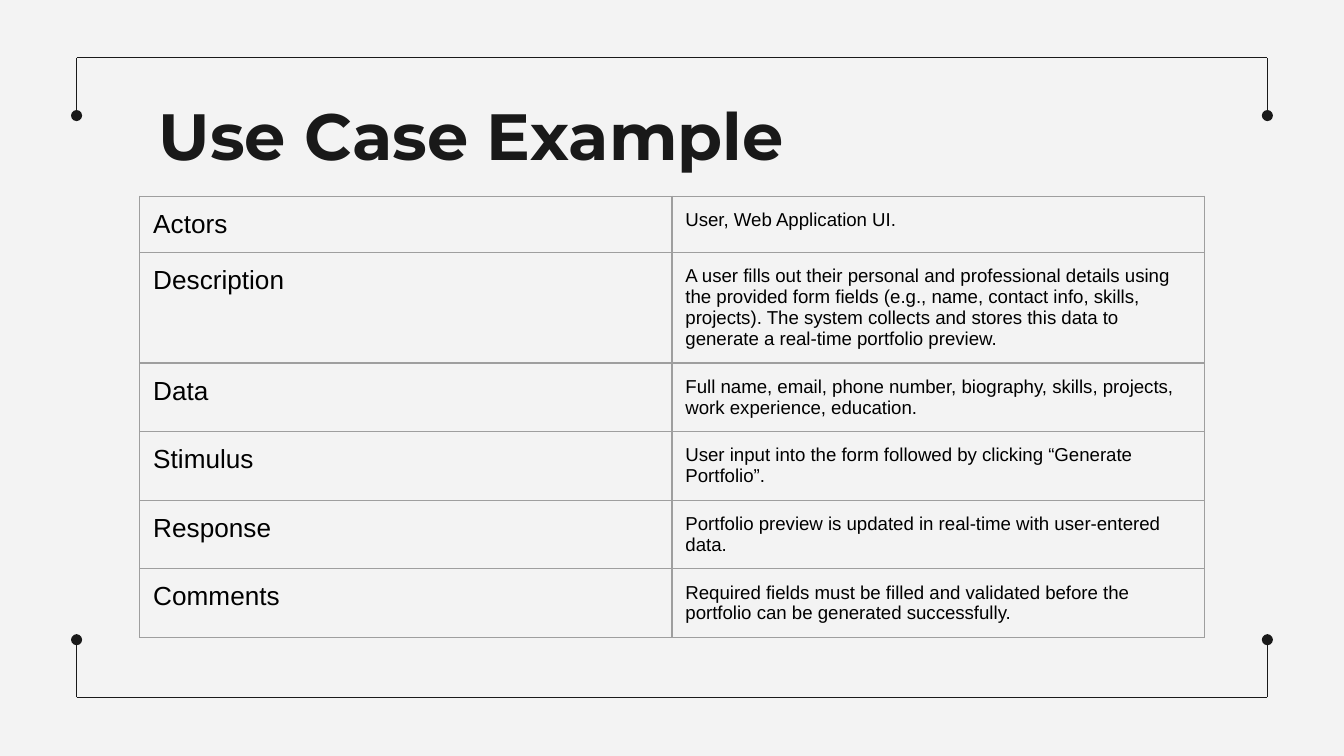
"""Build the use case example slide with its framed table."""
from lxml.etree import SubElement
from pptx import Presentation
from pptx.dml.color import RGBColor
from pptx.enum.shapes import MSO_CONNECTOR
from pptx.enum.text import MSO_ANCHOR, MSO_AUTO_SIZE, PP_ALIGN
from pptx.oxml.ns import qn
from pptx.util import Inches, Pt

TITLE = "Use Case Example"
USE_CASE = [
    ("Actors", "User, Web Application UI."),
    ("Description", "A user fills out their personal and professional details using the provided "
     "form fields (e.g., name, contact info, skills, projects). The system collects and stores "
     "this data to generate a real-time portfolio preview."),
    ("Data", "Full name, email, phone number, biography, skills, projects, work experience, "
     "education."),
    ("Stimulus", "User input into the form followed by clicking “Generate Portfolio”."),
    ("Response", "Portfolio preview is updated in real-time with user-entered data."),
    ("Comments", "Required fields must be filled and validated before the portfolio can be "
     "generated successfully."),
]
COLORS = {"background": "F3F3F3", "ink": "191919", "text": "000000", "border": "9E9E9E"}
COLUMN_SIZES = (14, 10)
COLUMN_WIDTH, ROW_HEIGHT = 3.96, 0.42
FRAME_LEFT, FRAME_RIGHT = 0.57, 9.43
FRAME_EDGES = [(0.43, 0.86), (5.19, 4.76)]


def color(name):
    return RGBColor.from_string(COLORS[name])


def add_text(paragraph, text, font_name, size, color_name, bold=False):
    run = paragraph.add_run()
    run.text = text
    run.font.name = font_name
    run.font.size = Pt(size)
    run.font.bold = bold
    run.font.color.rgb = color(color_name)


def set_margins(target):
    target.margin_left = target.margin_right = Inches(0.1)
    target.margin_top = target.margin_bottom = Inches(0.1)


def add_line(slide, start, end, dotted=False):
    connector = slide.shapes.add_connector(
        MSO_CONNECTOR.STRAIGHT, *(Inches(value) for value in start + end))
    connector.line.color.rgb = color("ink")
    connector.line.width = Pt(0.75)
    if dotted:
        SubElement(connector.get_or_add_ln(), qn("a:tailEnd"), type="oval")
    SubElement(connector.element.spPr, qn("a:effectLst"))


def add_frame(slide):
    for edge, tip in FRAME_EDGES:
        add_line(slide, (FRAME_LEFT, edge), (FRAME_RIGHT, edge))
        for side in (FRAME_LEFT, FRAME_RIGHT):
            add_line(slide, (side, edge), (side, tip), dotted=True)


def add_title(slide):
    title = slide.shapes.title
    title.left, title.top = Inches(1.08), Inches(0.61)
    title.width, title.height = Inches(6.84), Inches(0.92)
    frame = title.text_frame
    frame.word_wrap = True
    frame.auto_size = MSO_AUTO_SIZE.NONE
    frame.vertical_anchor = MSO_ANCHOR.TOP
    set_margins(frame)
    paragraph = frame.paragraphs[0]
    paragraph.alignment = PP_ALIGN.LEFT
    add_text(paragraph, TITLE, "Montserrat", 35, "ink", bold=True)


def format_cell(cell):
    set_margins(cell)
    properties = cell._tc.get_or_add_tcPr()
    for side in ("lnL", "lnR", "lnT", "lnB"):
        line = SubElement(properties, qn(f"a:{side}"), w=str(Pt(0.75)))
        fill = SubElement(line, qn("a:solidFill"))
        SubElement(fill, qn("a:srgbClr"), val=COLORS["border"])
    cell.fill.background()


def add_use_case_table(slide):
    columns = len(COLUMN_SIZES)
    table = slide.shapes.add_table(
        len(USE_CASE), columns, Inches(1.04), Inches(1.46),
        Inches(COLUMN_WIDTH * columns), Inches(ROW_HEIGHT * len(USE_CASE))).table
    table.first_row = table.horz_banding = False
    for row, values in enumerate(USE_CASE):
        for column, (text, size) in enumerate(zip(values, COLUMN_SIZES)):
            cell = table.cell(row, column)
            format_cell(cell)
            add_text(cell.text_frame.paragraphs[0], text, "Arial", size, "text")


def main():
    presentation = Presentation()
    presentation.slide_width = Inches(10)
    presentation.slide_height = Inches(10 * 9 / 16)
    slide = presentation.slides.add_slide(presentation.slide_layouts[5])
    slide.background.fill.solid()
    slide.background.fill.fore_color.rgb = color("background")
    add_frame(slide)
    add_title(slide)
    add_use_case_table(slide)
    presentation.save("out.pptx")


if __name__ == "__main__":
    main()
